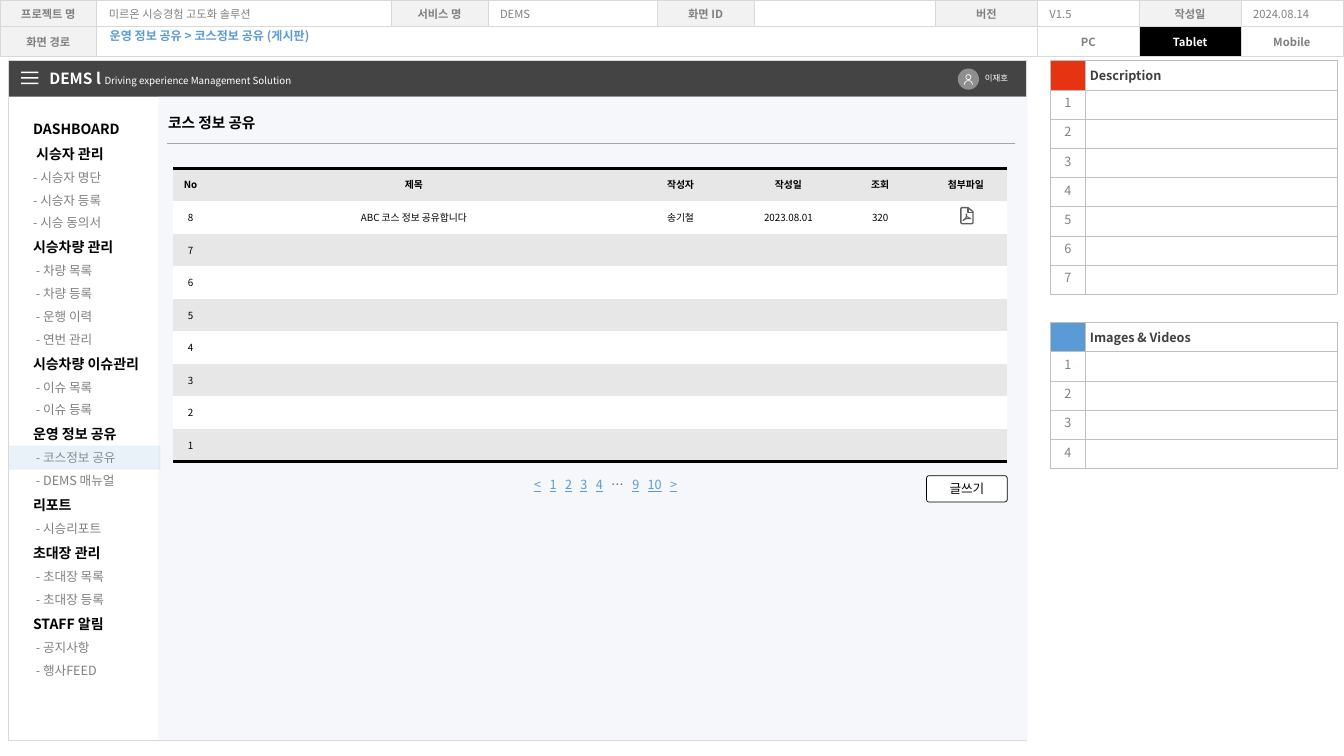
import math
from dataclasses import dataclass
from typing import Optional

from lxml import etree
from pptx import Presentation
from pptx.dml.color import RGBColor
from pptx.enum.shapes import MSO_CONNECTOR, MSO_SHAPE
from pptx.enum.text import MSO_ANCHOR, MSO_AUTO_SIZE, PP_ALIGN
from pptx.oxml.ns import qn
from pptx.util import Inches, Pt

FONT = "Noto Sans CJK KR"
CENTER, LEFT = PP_ALIGN.CENTER, PP_ALIGN.LEFT
TOP, MIDDLE = MSO_ANCHOR.TOP, MSO_ANCHOR.MIDDLE
GROW = MSO_AUTO_SIZE.SHAPE_TO_FIT_TEXT
RECT, OVAL, ROUND = MSO_SHAPE.RECTANGLE, MSO_SHAPE.OVAL, MSO_SHAPE.ROUNDED_RECTANGLE
STRAIGHT = MSO_CONNECTOR.STRAIGHT
PLAIN_TABLE = "{2D5ABB26-0587-4C30-8999-92F81FD0307C}"

BLACK = RGBColor(0x00, 0x00, 0x00)
WHITE = RGBColor(0xFF, 0xFF, 0xFF)
GRAY = RGBColor(0x80, 0x80, 0x80)
DARK = RGBColor(0x40, 0x40, 0x40)
BAR = RGBColor(0x44, 0x44, 0x44)
ICON = RGBColor(0x5F, 0x5F, 0x5F)
AVATAR = RGBColor(0x8F, 0x8F, 0x8F)
RULE = RGBColor(0xA5, 0xA5, 0xA5)
GRID = RGBColor(0xBF, 0xBF, 0xBF)
FRAME = RGBColor(0xD9, 0xD9, 0xD9)
LABEL = RGBColor(0xF2, 0xF2, 0xF2)
STRIPE = RGBColor(0xE7, 0xE7, 0xE7)
PANEL = RGBColor(0xF5, 0xF7, 0xFA)
BLUE = RGBColor(0x5B, 0x9B, 0xD5)
PALE_BLUE = RGBColor(0x9D, 0xC3, 0xE6)
RED = RGBColor(0xE6, 0x33, 0x12)


@dataclass
class Run:
    text: str
    size: float
    color: RGBColor
    bold: bool = False
    underline: bool = False
    spacing: int = 0


@dataclass
class Cell:
    text: str = ""
    size: float = 8
    color: RGBColor = GRAY
    bold: bool = False
    align: PP_ALIGN = CENTER
    fill: Optional[RGBColor] = None
    line_pt: float = 0


def add_run(p, run: Run) -> None:
    r = p.add_run()
    r.text = run.text
    f = r.font
    f.name, f.size, f.bold = FONT, Pt(run.size), run.bold
    f.color.rgb = run.color
    if run.underline:
        f.underline = True
    rpr = r._r.get_or_add_rPr()
    if run.spacing:
        rpr.set("spc", str(run.spacing))
    ea = etree.Element(qn("a:ea"), typeface=FONT)
    rpr.find(qn("a:latin")).addnext(ea)


def add_text(s, x: float, y: float, w: float, h: float, lines: list[list[Run]],
             wrap: bool = True, anchor: MSO_ANCHOR = TOP, spacing: float = 1,
             grow: bool = True) -> None:
    tf = s.shapes.add_textbox(Inches(x), Inches(y), Inches(w), Inches(h)).text_frame
    tf.word_wrap = wrap
    tf.vertical_anchor = anchor
    if grow:
        tf.auto_size = GROW
    for i, line in enumerate(lines):
        p = tf.add_paragraph() if i else tf.paragraphs[0]
        if spacing != 1:
            p.line_spacing = spacing
        for run in line:
            add_run(p, run)


def paint(sp, fill: Optional[RGBColor], line: Optional[RGBColor], width: float):
    sp.shadow.inherit = False
    if fill is None:
        sp.fill.background()
    else:
        sp.fill.solid()
        sp.fill.fore_color.rgb = fill
    if line is None:
        sp.line.fill.background()
    else:
        sp.line.color.rgb = line
        sp.line.width = Pt(width)
    return sp


def add_box(s, kind: MSO_SHAPE, x: float, y: float, w: float, h: float,
            fill: Optional[RGBColor] = None, line: Optional[RGBColor] = None,
            width: float = 0.25):
    sp = s.shapes.add_shape(kind, Inches(x), Inches(y), Inches(w), Inches(h))
    return paint(sp, fill, line, width)


def add_outline(s, paths: list[list[tuple[float, float]]], closed: bool,
                fill: Optional[RGBColor], line: Optional[RGBColor], width: float = 1) -> None:
    paths = [[(Inches(x), Inches(y)) for x, y in path] for path in paths]
    fb = s.shapes.build_freeform(*paths[0][0])
    for i, path in enumerate(paths):
        if i:
            fb.move_to(*path[0])
        fb.add_line_segments(path[1:], close=closed)
    paint(fb.convert_to_shape(), fill, line, width)


def set_borders(cell, sides: str, color: RGBColor, width: float) -> None:
    tcpr = cell._tc.get_or_add_tcPr()
    for i, side in enumerate(sides):
        ln = etree.Element(qn(f"a:ln{side}"), w=str(Pt(width)))
        solid = etree.SubElement(ln, qn("a:solidFill"))
        etree.SubElement(solid, qn("a:srgbClr"), val=str(color))
        tcpr.insert(i, ln)


def add_table(s, x: float, y: float, cols: list[float], rows: list[float],
              cells: list[list[Cell]], inset: float):
    tbl = s.shapes.add_table(len(rows), len(cols), Inches(x), Inches(y),
                             Inches(sum(cols)), Inches(sum(rows))).table
    tbl.first_row = tbl.horz_banding = False
    tbl._tbl.tblPr.find(qn("a:tableStyleId")).text = PLAIN_TABLE
    for c, w in enumerate(cols):
        tbl.columns[c].width = Inches(w)
    for r, h in enumerate(rows):
        tbl.rows[r].height = Inches(h)
        for c, item in enumerate(cells[r]):
            cell = tbl.cell(r, c)
            cell.margin_left = cell.margin_right = Inches(inset)
            cell.vertical_anchor = MIDDLE
            if item.fill is None:
                cell.fill.background()
            else:
                cell.fill.solid()
                cell.fill.fore_color.rgb = item.fill
            p = cell.text_frame.paragraphs[0]
            p.alignment = item.align
            if item.line_pt:
                p.line_spacing = Pt(item.line_pt)
            if item.text:
                add_run(p, Run(item.text, item.size, item.color, item.bold))
            else:
                etree.SubElement(p._p, qn("a:endParaRPr"), sz=str(int(item.size * 100)))
    return tbl


def label(text: str) -> Cell:
    return Cell(text, bold=True, fill=LABEL)


def value(text: str) -> Cell:
    return Cell(text, align=LEFT)


def add_project_header(s) -> None:
    top = [label("프로젝트 명"), value("미르온 시승경험 고도화 솔루션"), label("서비스 명"), value("DEMS"),
           label("화면 ID"), value(""), label("버전"), value("V1.5"), label("작성일"), value("2024.08.14")]
    bottom = [label("화면 경로"), *[Cell() for _ in range(6)], Cell("PC", bold=True, fill=WHITE),
              Cell("Tablet", color=WHITE, bold=True, fill=BLACK), Cell("Mobile", bold=True)]
    cols = [0.96, 2.92, 0.96, 1.68, 0.96, 1.8] + [1.01] * 4
    tbl = add_table(s, 0, 0, cols, [0.26, 0.3], [top, bottom], 0.12)
    for cell in tbl.iter_cells():
        set_borders(cell, "LRTB", FRAME, 0.5)
    tbl.cell(1, 1).merge(tbl.cell(1, 6))
    add_text(s, 0.99, 0.27, 7.27, 0.22, [[Run("운영 정보 공유 > 코스정보 공유 (게시판)", 8.6, BLUE, True)]],
             spacing=0.7, grow=False)


def add_notes_table(s) -> None:
    def section(title: str, color: RGBColor, count: int) -> list[list[Cell]]:
        head = [Cell(size=9, fill=color), Cell(title, 9, DARK, True, LEFT)]
        return [head] + [[Cell(str(n), 9, line_pt=10), Cell()] for n in range(1, count + 1)]

    first = section("Description", RED, 7)
    cells = first + [[Cell(), Cell()]] + section("Images & Videos", BLUE, 4)
    gap = len(first)
    rows = [0.28 if r == gap else 0.29 for r in range(len(cells))]
    tbl = add_table(s, 10.42, 0.6, [0.34, 2.5], rows, cells, 0.05)
    for r in range(len(rows)):
        for c in range(2):
            sides = ("TB", "RTB")[c] if r == gap else "LRTB"
            set_borders(tbl.cell(r, c), sides, GRID, 0.25)
    tbl.cell(gap, 0).merge(tbl.cell(gap, 1))


def add_app_bar(s) -> None:
    add_box(s, RECT, 0.08, 0.6, 10.1, 0.36, BAR)
    add_box(s, OVAL, 9.5, 0.68, 0.21, 0.21, AVATAR)
    add_box(s, OVAL, 9.58, 0.74, 0.05, 0.05, None, WHITE, 0.5)
    angles = [math.radians(a) for a in range(180, 361, 15)]
    add_outline(s, [[(9.605 + 0.04 * math.cos(a), 0.84 + 0.04 * math.sin(a)) for a in angles]],
                False, None, WHITE, 0.5)
    add_text(s, 9.67, 0.68, 0.43, 0.2, [[Run("이재호", 6, WHITE)]], wrap=False)
    add_text(s, 0.39, 0.63, 4.32, 0.29, [[Run("DEMS l ", 11, WHITE, True),
             Run("Driving experience Management Solution", 7, WHITE)]], anchor=MIDDLE)
    add_box(s, RECT, 0.08, 0.6, 10.1, 6.74, None, FRAME)
    add_box(s, RECT, 1.57, 0.96, 8.62, 6.38, PANEL)
    bars = [[(0.21, y), (0.21, y + 0.015), (0.38, y + 0.015), (0.38, y)] for y in (0.71, 0.765, 0.82)]
    add_outline(s, bars, True, WHITE, None)


def add_menu(s) -> None:
    items = ["DASHBOARD", " 시승자 관리", "- 시승자 명단", "- 시승자 등록", "- 시승 동의서",
             "시승차량 관리", " - 차량 목록", " - 차량 등록", " - 운행 이력", " - 연번 관리",
             "시승차량 이슈관리", " - 이슈 목록", " - 이슈 등록",
             "운영 정보 공유", " - 코스정보 공유", " - DEMS 매뉴얼", "리포트", " - 시승리포트",
             "초대장 관리", " - 초대장 목록", " - 초대장 등록", "STAFF 알림", " - 공지사항", " - 행사FEED"]
    lines = [[Run(t, 9, GRAY) if "- " in t else Run(t, 10, BLACK, True)] for t in items]
    add_text(s, 0.23, 1.06, 1.26, 6.25, lines, wrap=False, spacing=1.5)
    mark = add_box(s, RECT, 0.09, 4.42, 1.5, 0.24, PALE_BLUE)
    color = mark._element.spPr.find(qn("a:solidFill"))[0]
    etree.SubElement(color, qn("a:alpha"), val="21000")


def add_board(s) -> None:
    add_text(s, 1.57, 1.08, 6.67, 0.29, [[Run("코스 정보 공유", 10.5, BLACK, True)]])
    rule = s.shapes.add_connector(STRAIGHT, Inches(1.66), Inches(1.42), Inches(10.07), Inches(1.42))
    rule.line.color.rgb, rule.line.width = RULE, Pt(0.5)
    etree.SubElement(rule._element.spPr, qn("a:effectLst"))

    heads = ["No", "제목", "작성자", "작성일", "조회", "첨부파일"]
    post = ["8", "ABC 코스 정보 공유합니다", "송기철", "2023.08.01", "320", ""]
    texts = [heads, post] + [[str(n)] + [""] * 5 for n in range(7, 0, -1)]
    cells = [[Cell(t, 7, BLACK, r == 0, fill=WHITE if r % 2 else STRIPE) for t in row]
             for r, row in enumerate(texts)]
    tbl = add_table(s, 1.72, 1.67, [0.34, 4.09, 1.2, 0.94, 0.88, 0.82], [2.91 / 9] * 9, cells, 0.1)
    for c in range(len(heads)):
        set_borders(tbl.cell(0, c), "T", BLACK, 2)
        set_borders(tbl.cell(8, c), "B", BLACK, 2)

    page = [(9.54, 2.06), (9.6, 2.06), (9.65, 2.1), (9.65, 2.21), (9.64, 2.22), (9.54, 2.22),
            (9.53, 2.21), (9.53, 2.07)]
    add_outline(s, [page], True, None, ICON)
    add_outline(s, [[(9.6, 2.06), (9.6, 2.11), (9.65, 2.11)]], False, None, ICON)
    add_outline(s, [[(9.58, 2.12), (9.59, 2.15), (9.63, 2.17), (9.58, 2.17), (9.55, 2.19),
                     (9.58, 2.16), (9.59, 2.12)]], False, None, ICON, 0.75)

    button = add_box(s, ROUND, 9.19, 4.72, 0.8, 0.26, WHITE, BLACK, 0.5)
    button.adjustments[0] = 0.09
    tf = button.text_frame
    tf.vertical_anchor = MIDDLE
    tf.paragraphs[0].alignment = CENTER
    add_run(tf.paragraphs[0], Run("글쓰기", 9, BLACK))

    runs = []
    for text in ["<", "1", "2", "3", "4", "…", "9", "10", ">"]:
        if runs:
            runs.append(Run(" ", 9, BLUE, spacing=400))
        dots = text == "…"
        runs.append(Run(text, 9, ICON if dots else BLUE, underline=not dots))
    add_text(s, 5.2, 4.68, 1.75, 0.23, [runs], wrap=False)


def main() -> None:
    prs = Presentation()
    prs.slide_width, prs.slide_height = Inches(13.33), Inches(7.5)
    s = prs.slides.add_slide(prs.slide_layouts[6])
    for draw in (add_project_header, add_notes_table, add_app_bar, add_menu, add_board):
        draw(s)
    prs.save("out.pptx")


if __name__ == "__main__":
    main()
